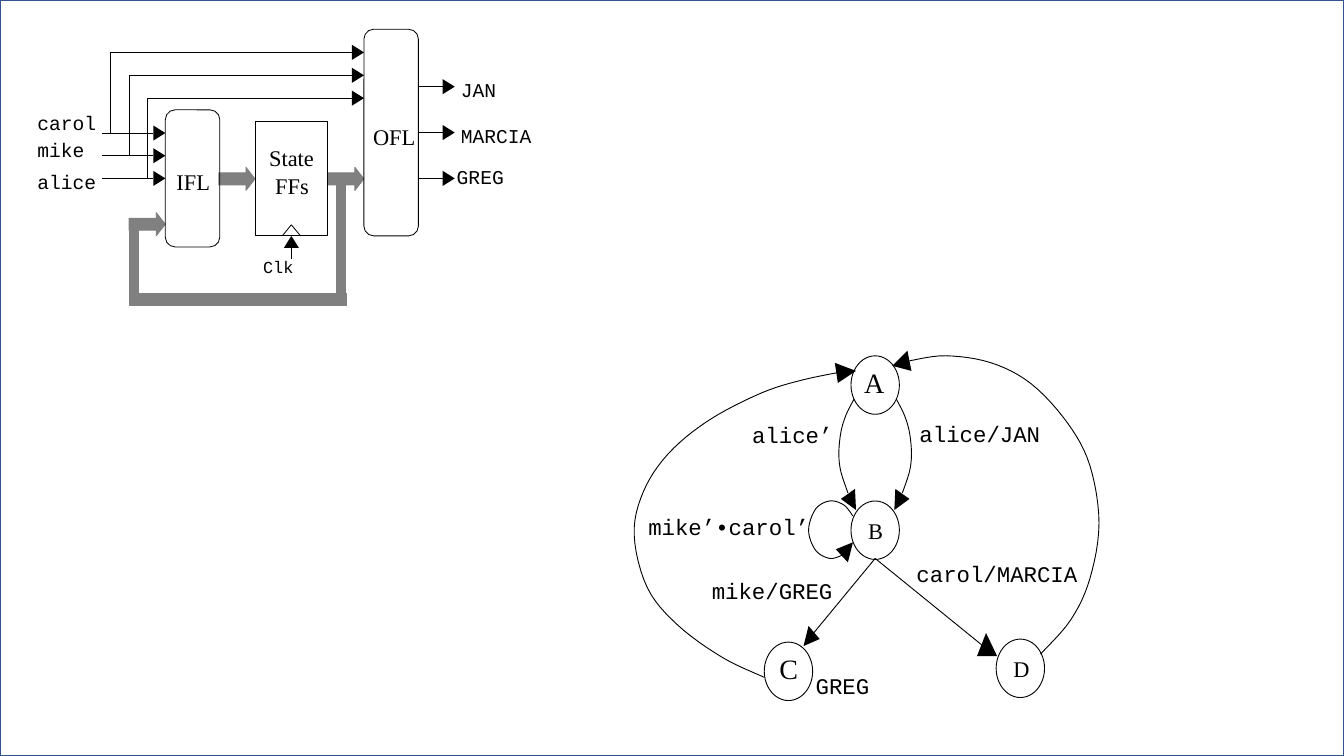
"""Build a slide with a state machine block diagram and its state graph."""
from dataclasses import dataclass
from math import hypot

from lxml.etree import SubElement
from pptx import Presentation
from pptx.dml.color import RGBColor
from pptx.enum.shapes import MSO_CONNECTOR, MSO_SHAPE
from pptx.enum.text import MSO_ANCHOR, PP_ALIGN
from pptx.oxml.ns import qn
from pptx.util import Inches, Pt

BLACK = RGBColor(0x00, 0x00, 0x00)
GRAY = RGBColor(0x80, 0x80, 0x80)
FRAME_BLUE = RGBColor(0x32, 0x54, 0x91)
SERIF = "Times New Roman"
MONO = "Courier New"
WIRE = 0.6
EDGE = 0.65
HEAD_LENGTH = 0.12
HEAD_HALF = 0.075
B_AXIS = 8.68

Point = tuple[float, float]


@dataclass(frozen=True)
class Block:
    left: float
    top: float
    width: float
    height: float
    kind: MSO_SHAPE = MSO_SHAPE.RECTANGLE
    fill: RGBColor | None = None
    line: RGBColor = BLACK
    weight: float = WIRE
    adjust: tuple[float, ...] = ()


@dataclass(frozen=True)
class Label:
    text: str
    left: float
    top: float
    width: float
    height: float
    size: int = 16
    font: str = MONO


@dataclass(frozen=True)
class Transition:
    route: tuple[Point, ...]
    head: tuple[Point, ...]


FRAME = Block(0, 0, 13.33, 7.5, line=FRAME_BLUE, weight=1)
INPUT_LOGIC = Block(1.64, 1.09, 0.54, 1.36, MSO_SHAPE.ROUNDED_RECTANGLE, adjust=(0.18,))
OUTPUT_LOGIC = Block(3.61, 0.29, 0.54, 2.05, MSO_SHAPE.ROUNDED_RECTANGLE, adjust=(0.18,))
STATE_STORE = Block(2.53, 1.2, 0.72, 1.14)
BUS_ARROWS = [
    Block(left, top, 0.36, 0.23, MSO_SHAPE.RIGHT_ARROW, GRAY, GRAY, adjust=(0.52, 0.39))
    for left, top in ((2.17, 1.66), (1.28, 2.11), (3.25, 1.66))
]
BUS_BARS = [
    Block(*place, fill=GRAY, line=GRAY)
    for place in ((3.34, 1.77, 0.09, 1.25), (1.28, 2.23, 0.09, 0.8), (1.37, 2.91, 2.07, 0.12))
]
STATES = [
    Block(left, top, 0.48, 0.58, MSO_SHAPE.OVAL, weight=EDGE)
    for left, top in ((8.44, 3.53), (9.88, 6.34), (8.44, 4.97), (7.58, 6.37))
]
LABELS = [
    Label("State", 2.67, 1.43, 0.51, 0.23, font=SERIF),
    Label("FFs", 2.73, 1.71, 0.39, 0.22, font=SERIF),
    Label("IFL", 1.75, 1.67, 0.35, 0.25, font=SERIF),
    Label("OFL", 3.7, 1.22, 0.43, 0.25, font=SERIF),
    Label("Clk", 2.61, 2.55, 0.52, 0.26, 12),
    Label("JAN", 4.57, 0.77, 0.39, 0.2, 14),
    Label("MARCIA", 4.57, 1.23, 0.71, 0.19, 14),
    Label("GREG", 4.53, 1.64, 0.49, 0.17, 14),
    Label("carol", 0.37, 1.1, 0.75, 0.3, 14),
    Label("mike", 0.37, 1.37, 0.66, 0.24, 14),
    Label("alice", 0.37, 1.69, 0.73, 0.26, 14),
    Label("A", 8.57, 3.63, 0.19, 0.32, 20, SERIF),
    Label("D", 10.05, 6.5, 0.19, 0.32, font=SERIF),
    Label("B", 8.61, 5.13, 0.18, 0.32, font=SERIF),
    Label("C", 7.73, 6.46, 0.18, 0.32, 20, SERIF),
    Label("alice/JAN", 9.12, 4.17, 1.26, 0.25),
    Label("mike/GREG", 7.06, 5.73, 1.24, 0.26),
    Label("alice’", 7.46, 4.18, 0.84, 0.29),
    Label("carol/MARCIA", 9.09, 5.56, 1.63, 0.32),
    Label("mike’•carol’", 6.43, 5.09, 1.62, 0.51),
    Label("GREG", 8.09, 6.67, 0.57, 0.24),
]


def mirror(points: tuple[Point, ...]) -> tuple[Point, ...]:
    return tuple((2 * B_AXIS - x, y) for x, y in points)


A_TO_B = Transition(
    ((8.95, 4.89), (9.02, 4.68), (9.04, 4.5), (9.02, 4.29), (8.97, 4.12), (8.89, 3.96)),
    ((8.88, 4.85), (8.87, 5.06), (9.02, 4.95)),
)
TRANSITIONS = [
    A_TO_B,
    Transition(mirror(A_TO_B.route), mirror(A_TO_B.head)),
    Transition(((B_AXIS, 5.54), (9.74, 6.4)), ((9.69, 6.51), (9.89, 6.51), (9.78, 6.28))),
    Transition(((B_AXIS, 5.54), (8.07, 6.28)), ((8.02, 6.21), (7.97, 6.41), (8.13, 6.34))),
    Transition(
        ((7.58, 6.72), (7.16, 6.52), (6.72, 6.2), (6.42, 5.83), (6.29, 5.31), (6.38, 4.88),
         (6.63, 4.5), (7.03, 4.17), (7.55, 3.9), (7.96, 3.77), (8.4, 3.68)),
        ((8.31, 3.8), (8.49, 3.68), (8.28, 3.6)),
    ),
    Transition(
        ((8.46, 5.12), (8.37, 5.01), (8.23, 4.97), (8.09, 5.05), (8.02, 5.26), (8.09, 5.46),
         (8.23, 5.54), (8.35, 5.51)),
        ((8.41, 5.58), (8.46, 5.38), (8.29, 5.45)),
    ),
    Transition(
        ((10.32, 6.49), (10.62, 6.15), (10.81, 5.74), (10.9, 5.19), (10.81, 4.62), (10.59, 4.2),
         (10.23, 3.81), (9.83, 3.6), (9.38, 3.53), (9.02, 3.58)),
        ((9, 3.48), (8.85, 3.63), (9.04, 3.68)),
    ),
]


def paint(shape, fill: RGBColor | None, line: RGBColor | None, weight: float = WIRE) -> None:
    shape.shadow.inherit = False
    if fill is None:
        shape.fill.background()
    else:
        shape.fill.solid()
        shape.fill.fore_color.rgb = fill
    if line is None:
        shape.line.fill.background()
    else:
        shape.line.color.rgb = line
        shape.line.width = Pt(weight)


def draw_block(page, block: Block):
    place = (Inches(v) for v in (block.left, block.top, block.width, block.height))
    shape = page.shapes.add_shape(block.kind, *place)
    for index, value in enumerate(block.adjust):
        shape.adjustments[index] = value
    paint(shape, block.fill, block.line, block.weight)
    return shape


def draw_label(page, label: Label) -> None:
    place = (Inches(v) for v in (label.left, label.top, label.width, label.height))
    frame = page.shapes.add_textbox(*place).text_frame
    margins = dict.fromkeys(("margin_left", "margin_top", "margin_right", "margin_bottom"), 0)
    for name, value in {**margins, "word_wrap": False, "vertical_anchor": MSO_ANCHOR.TOP}.items():
        setattr(frame, name, value)
    para = frame.paragraphs[0]
    para.alignment = PP_ALIGN.LEFT
    span = para.add_run()
    for name, value in {"name": label.font, "size": Pt(label.size)}.items():
        setattr(span.font, name, value)
    span.font.color.rgb = BLACK
    span.text = label.text


def draw_line(page, start: Point, end: Point, weight: float = WIRE):
    ends = (Inches(v) for v in (*start, *end))
    line = page.shapes.add_connector(MSO_CONNECTOR.STRAIGHT, *ends)
    line.line.color.rgb = BLACK
    line.line.width = Pt(weight)
    SubElement(line._element.spPr, qn("a:effectLst"))
    return line


def draw_outline(page, points: tuple[Point, ...], closed: bool) -> None:
    spots = [(Inches(x), Inches(y)) for x, y in points]
    builder = page.shapes.build_freeform(*spots[0])
    builder.add_line_segments(spots[1:], close=closed)
    paint(builder.convert_to_shape(), BLACK if closed else None, None if closed else BLACK, EDGE)


def draw_wire(page, start: Point, tip: Point):
    (x, y), (tip_x, tip_y) = start, tip
    span = hypot(tip_x - x, tip_y - y)
    dx, dy = (tip_x - x) / span, (tip_y - y) / span
    base_x, base_y = tip_x - HEAD_LENGTH * dx, tip_y - HEAD_LENGTH * dy
    side_x, side_y = -HEAD_HALF * dy, HEAD_HALF * dx
    corners = ((base_x + side_x, base_y + side_y), tip, (base_x - side_x, base_y - side_y))
    draw_outline(page, corners, True)
    return draw_line(page, start, (base_x, base_y))


def smooth(points: tuple[Point, ...], steps: int = 6) -> tuple[Point, ...]:
    padded = (points[0], *points, points[-1])
    curve = [points[0]]
    for a, b, c, d in zip(padded, padded[1:], padded[2:], padded[3:]):
        for t in (step / steps for step in range(1, steps + 1)):
            curve.append(tuple(
                q + 0.5 * t * (r - p + t * (2 * p - 5 * q + 4 * r - s + t * (3 * (q - r) + s - p)))
                for p, q, r, s in zip(a, b, c, d)
            ))
    return tuple(curve)


def draw_transition(page, move: Transition) -> None:
    if len(move.route) == 2:
        draw_line(page, *move.route, EDGE)
    else:
        draw_outline(page, smooth(move.route), False)
    draw_outline(page, move.head, True)


def main() -> None:
    deck = Presentation()
    deck.slide_width, deck.slide_height = Inches(13.33), Inches(7.5)
    page = deck.slides.add_slide(deck.slide_layouts[6])
    for block in (FRAME, *BUS_ARROWS, *BUS_BARS, STATE_STORE, INPUT_LOGIC, *STATES):
        draw_block(page, block)
    output_box = draw_block(page, OUTPUT_LOGIC)
    for row in range(3):
        input_y, bypass_y, output_y = 1.32 + 0.225 * row, 0.52 + 0.227 * row, 0.86 + 0.455 * row
        branch_x = 1.1 + 0.18 * row
        draw_wire(page, (1.01, input_y), (1.64, input_y))
        draw_line(page, (branch_x, input_y), (branch_x, bypass_y))
        draw_wire(page, (branch_x, bypass_y), (3.61, bypass_y))
        output_wire = draw_wire(page, (4.15, output_y), (4.51, output_y))
        if row == 1:
            output_wire.begin_connect(output_box, 3)
    for foot_x in (2.8, 2.98):
        draw_line(page, (2.89, 2.23), (foot_x, 2.34))
    draw_wire(page, (2.89, 2.57), (2.89, 2.34))
    for move in TRANSITIONS:
        draw_transition(page, move)
    for label in LABELS:
        draw_label(page, label)
    deck.save("out.pptx")


if __name__ == "__main__":
    main()
